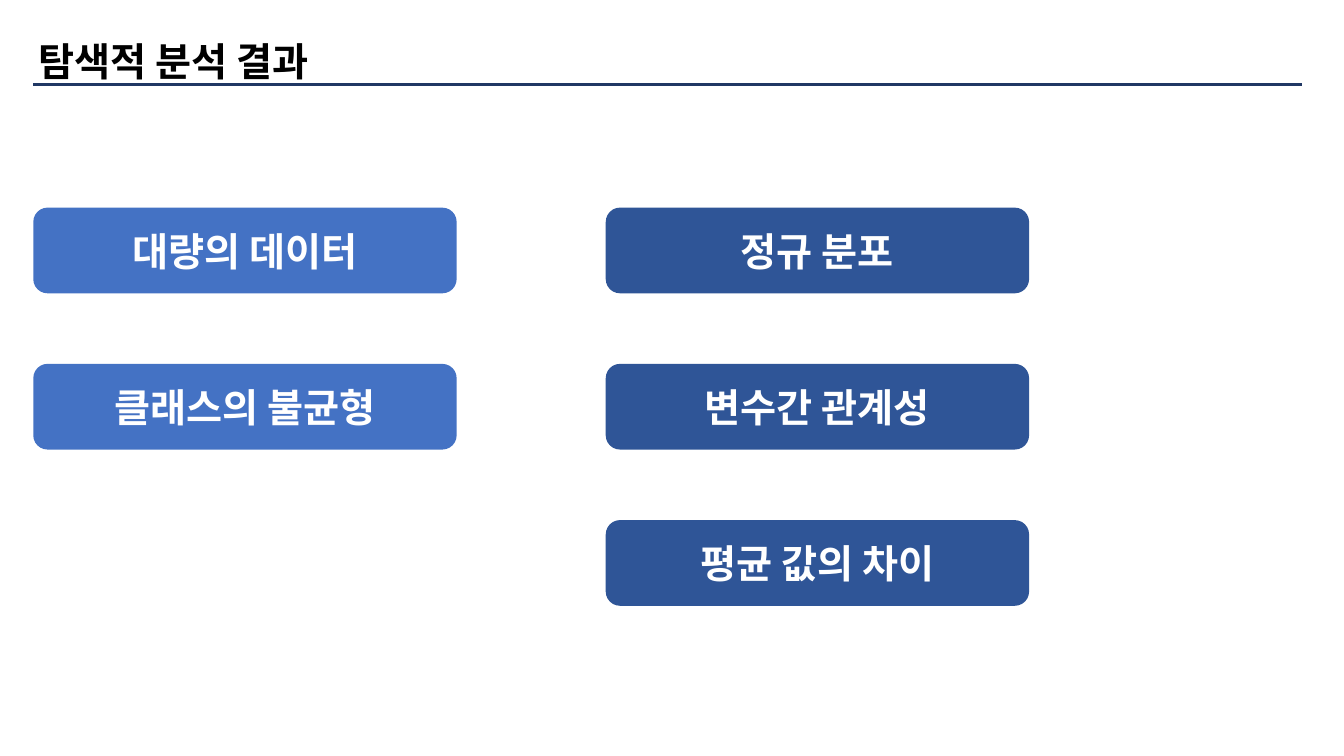
from dataclasses import dataclass
from lxml.etree import SubElement
from pptx import Presentation
from pptx.dml.color import RGBColor
from pptx.enum.shapes import MSO_CONNECTOR, MSO_SHAPE
from pptx.enum.text import MSO_ANCHOR, MSO_AUTO_SIZE, PP_ALIGN
from pptx.oxml.ns import qn
from pptx.util import Pt


@dataclass(frozen=True)
class Theme:
    font: str = "Noto Sans CJK KR"
    size: float = 28
    ink: str = "000000"
    paper: str = "FFFFFF"
    rule: str = "203864"
    light: str = "4472C4"
    dark: str = "2F5597"


theme = Theme()


def set_text(shape, text, color, align):
    frame = shape.text_frame
    frame.text = text
    frame.word_wrap = True
    frame.auto_size = MSO_AUTO_SIZE.NONE
    frame.vertical_anchor = MSO_ANCHOR.MIDDLE
    frame.margin_top = frame.margin_bottom = Pt(0)
    para = frame.paragraphs[0]
    para.alignment = align
    font = para.runs[0].font
    font.name = theme.font
    font.size = Pt(theme.size)
    font.bold = True
    font.color.rgb = RGBColor.from_string(color)
    SubElement(font._element, qn("a:ea")).set("typeface", theme.font)


def add_title(slide, text, left, top, width, height):
    title = slide.shapes.title
    title.left, title.top = Pt(left), Pt(top)
    title.width, title.height = Pt(width), Pt(height)
    set_text(title, text, theme.ink, PP_ALIGN.LEFT)


def add_rule(slide, left, top, width):
    rule = slide.shapes.add_connector(
        MSO_CONNECTOR.STRAIGHT, Pt(left), Pt(top), Pt(left + width), Pt(top)
    )
    rule.line.color.rgb = RGBColor.from_string(theme.rule)
    rule.line.width = Pt(2.25)
    SubElement(rule._element.spPr, qn("a:effectLst"))


def add_column(slide, labels, color, left, top, width, height, pitch):
    for row, label in enumerate(labels):
        card = slide.shapes.add_shape(
            MSO_SHAPE.ROUNDED_RECTANGLE,
            Pt(left), Pt(top + row * pitch), Pt(width), Pt(height),
        )
        card.shadow.inherit = False
        card.fill.solid()
        card.fill.fore_color.rgb = RGBColor.from_string(color)
        card.line.fill.background()
        set_text(card, label, theme.paper, PP_ALIGN.CENTER)


def main():
    deck = Presentation()
    deck.slide_width, deck.slide_height = Pt(960), Pt(540)
    slide = deck.slides.add_slide(deck.slide_layouts[5])
    add_rule(slide, 23.8, 60.5, 906.5)
    columns = (
        (23.8, theme.light, ("대량의 데이터", "클래스의 불균형")),
        (432.7, theme.dark, ("정규 분포", "변수간 관계성", "평균 값의 차이")),
    )
    for left, color, labels in columns:
        add_column(slide, labels, color, left, 148.3, 302.4, 61.2, 111.6)
    add_title(slide, "탐색적 분석 결과", 20.2, 23, 639.4, 41)
    deck.save("out.pptx")


if __name__ == "__main__":
    main()
